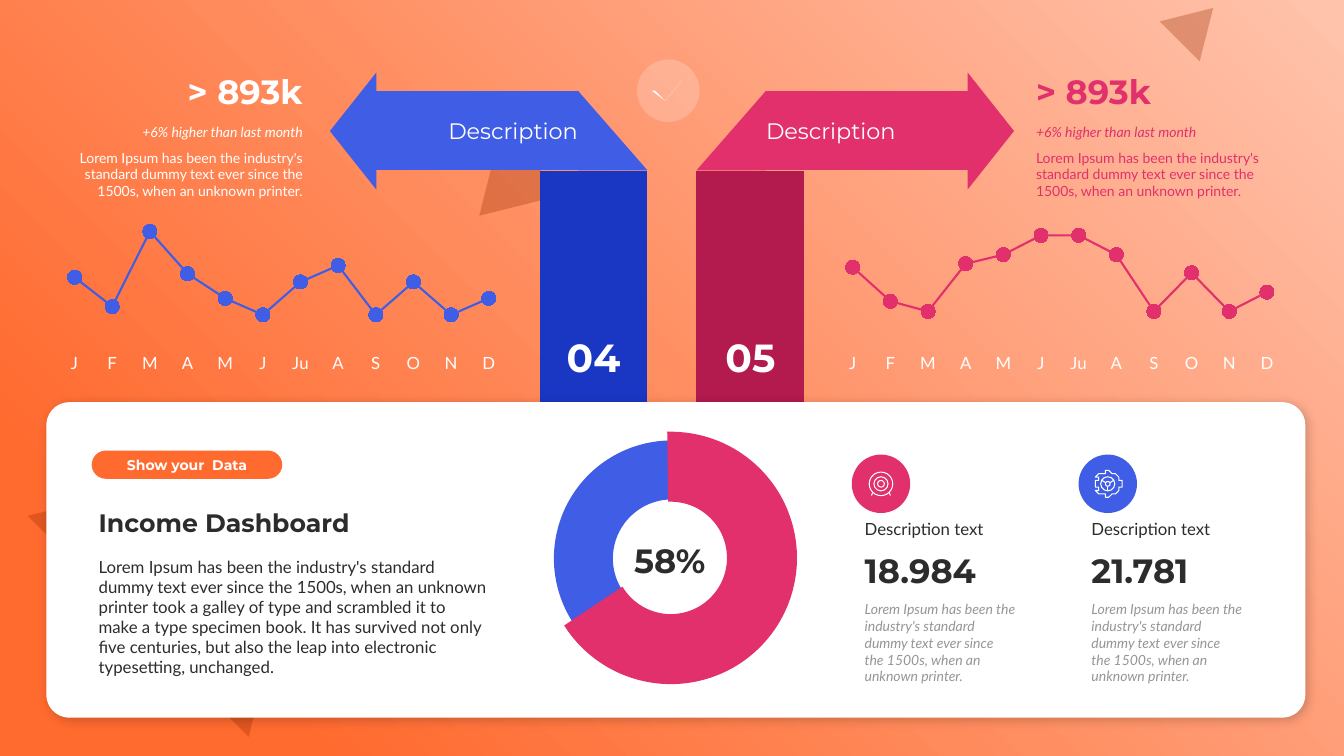
"""Builds the income dashboard slide on a grid of 400 by 225 square cells."""
import math

from pptx import Presentation, util as u
from pptx.chart.data import CategoryChartData
from pptx.dml.color import RGBColor
from pptx.enum import chart as c, shapes, text
from pptx.oxml import parse_xml
from pptx.oxml.ns import nsdecls, qn

PINK, BLUE, ORANGE, WHITE, DARK, GREY = "E1306C", "405DE6", "FF6A2F", "FFFFFF", "2C2C2C", "969696"
KIND, ALIGN, ANCHOR = shapes.MSO_SHAPE, text.PP_ALIGN, text.MSO_ANCHOR
COLUMNS, ROWS = 400, 225
LOREM = ("Lorem Ipsum has been the industry's standard dummy text ever since the 1500s, "
         "when an unknown printer")
color_of = RGBColor.from_string

presentation = Presentation()
presentation.slide_width, presentation.slide_height = u.Inches(40 / 3), u.Inches(7.5)
cell = presentation.slide_width / COLUMNS
slide = presentation.slides.add_slide(presentation.slide_layouts[6])
canvas = slide.shapes


def draw(parent, kind, box, color=None, alpha=None, rotation=0):
    """Adds a preset shape, or a text box when kind is None, at a box in cells."""
    place = [int(cell * value) for value in box]
    if kind is None:
        return parent.add_textbox(*place)
    shape = parent.add_shape(kind, *place)
    shape.shadow.inherit = False
    shape.line.fill.background()
    shape.rotation = rotation
    if color is None:
        shape.fill.background()
        return shape
    shape.fill.solid()
    shape.fill.fore_color.rgb = color_of(color)
    if alpha:
        tint = shape._element.spPr.find(qn("a:solidFill"))[0]
        tint.append(parse_xml(f'<a:alpha {nsdecls("a")} val="{alpha * 1000}"/>'))
    return shape


def write(shape, lines, size, font, color, bold=False, italic=False,
          align=ALIGN.LEFT, anchor=ANCHOR.TOP, after=0):
    """Fills a shape with paragraphs of one style and returns its text frame."""
    frame = shape.text_frame
    frame.word_wrap = True
    frame.vertical_anchor = anchor
    frame.text = "\n".join(lines)
    for paragraph in frame.paragraphs:
        paragraph.alignment = align
        paragraph.space_after = u.Pt(after)
        paragraph.font.name, paragraph.font.size = font, u.Pt(size)
        paragraph.font.bold, paragraph.font.italic = bold, italic
        paragraph.font.color.rgb = color_of(color)
    return frame


backdrop = draw(canvas, KIND.RECTANGLE, (0, 0, COLUMNS, ROWS), ORANGE)
backdrop.fill.gradient()
for stop, color, position in zip(backdrop.fill.gradient_stops, ("FFC3AC", ORANGE), (0, 0.85)):
    stop.color.rgb, stop.position = color_of(color), position
gradient = backdrop._element.spPr.find(qn("a:gradFill"))
gradient.replace(gradient.find(qn("a:lin")), parse_xml(
    f'<a:path {nsdecls("a")} path="circle"><a:fillToRect l="100000" b="100000"/></a:path>'))

for *box, rotation in ((21.9, 120.6, 93, 77.1, 45), (120.6, 117.9, 50.7, 42, 45),
                       (137.1, 45, 27, 22.5, 225), (347.7, 0.3, 16.8, 14.1, 45)):
    draw(canvas, KIND.ISOSCELES_TRIANGLE, box, "972B00", 30, rotation)

ARROW = {"banner": (228, 27, 60, 23.7), "slope": (207.3, 27, 20.7, 23.7),
         "column": (207.3, 51, 32.1, 68.7), "head": (277.5, 32.1, 34.8, 13.8)}
MONTHS = ("J", "F", "M", "A", "M", "J", "Ju", "A", "S", "O", "N", "D")
RIGHT_VALUES = (72, 42, 33, 75, 83, 100, 100, 83, 33, 67, 33, 50)
LEFT_VALUES = (61, 36, 100, 64, 43, 29, 57, 71, 29, 57, 29, 43)
SIDES = ((False, "05", PINK, "B31A4E", PINK, ALIGN.LEFT, 305.4, 245.4, RIGHT_VALUES, 120),
         (True, "04", BLUE, "1A37C3", WHITE, ALIGN.RIGHT, 14.7, 13.8, LEFT_VALUES, 116))
charts = []
for mirrored, number, color, shade, ink, align, text_left, chart_left, values, top_value in SIDES:
    boxes = {part: (COLUMNS - x - w if mirrored else x, y, w, h)
             for part, (x, y, w, h) in ARROW.items()}
    arrow = canvas.add_group_shape().shapes
    banner = draw(arrow, KIND.FLOWCHART_PROCESS, boxes["banner"], color)
    frame = write(banner, ["Description"], 16, "Montserrat", WHITE, align=align, anchor=ANCHOR.MIDDLE)
    frame.margin_left = frame.margin_right = 0
    slope = draw(arrow, KIND.RIGHT_TRIANGLE, boxes["slope"], color)
    if not mirrored:
        slope._element.spPr.find(qn("a:xfrm")).set("flipH", "1")
    column = draw(arrow, KIND.FLOWCHART_PROCESS, boxes["column"], shade)
    frame = write(column, [number], 28, "Montserrat", WHITE, bold=True,
                  align=ALIGN.CENTER, anchor=ANCHOR.BOTTOM)
    frame.margin_left = frame.margin_right = 0
    frame.margin_bottom = int(cell * 6.6)
    draw(arrow, KIND.ISOSCELES_TRIANGLE, boxes["head"], color, rotation=270 if mirrored else 90)

    write(draw(canvas, None, (text_left, 19.5, 78.3, 15)), ["> 893k"], 24, "Montserrat", ink,
          bold=True, align=align, anchor=ANCHOR.BOTTOM)
    frame = write(draw(canvas, None, (text_left, 35.4, 78.3, 25.8)),
                  ["+6% higher than last month", LOREM + "."], 10, "Lato", ink,
                  italic=True, align=align, after=6)
    frame.paragraphs[1].font.italic = False

    data = CategoryChartData()
    data.categories = MONTHS
    data.add_series("Series 1", values)
    place = [int(cell * value) for value in (chart_left, 63.3, 140.1, 48.9)]
    chart = canvas.add_chart(c.XL_CHART_TYPE.LINE_MARKERS, *place, data).chart
    charts.append((chart, 12, WHITE, (0.02, 0, 0.96, 0.83)))
    months, amounts = chart.category_axis, chart.value_axis
    months.format.line.fill.background()
    months.major_tick_mark = c.XL_TICK_MARK.NONE
    months.has_major_gridlines = amounts.has_major_gridlines = amounts.visible = False
    amounts.minimum_scale, amounts.maximum_scale = 0, top_value
    series = chart.plots[0].series[0]
    series.smooth = False
    series.format.line.color.rgb = color_of(color)
    series.format.line.width = u.Pt(1.5)
    series.marker.style, series.marker.size = c.XL_MARKER_STYLE.CIRCLE, 10
    series.marker.format.fill.solid()
    series.marker.format.fill.fore_color.rgb = color_of(color)
    series.marker.format.line.color.rgb = color_of(color)

draw(canvas, KIND.OVAL, (189.6, 17.7, 18.6, 18.6), WHITE, 20)
builder = canvas.build_freeform(203.4, 24.3, scale=cell)
builder.add_line_segments(((203, 24), (197.7, 29.6), (194.7, 26.6), (194.4, 27), (197.6, 30.1), (198, 30)))
check = builder.convert_to_shape()
check.shadow.inherit = False
check.fill.solid()
check.fill.fore_color.rgb = color_of(WHITE)
check.line.fill.background()

card = draw(canvas, KIND.ROUNDED_RECTANGLE, (13.8, 119.7, 374.7, 93.9), WHITE)
card.adjustments[0] = 0.073
card._element.spPr.find(qn("a:effectLst")).append(parse_xml(
    f'<a:outerShdw {nsdecls("a")} blurRad="{u.Pt(8)}" dist="{u.Pt(3)}" dir="2700000" algn="tl" '
    'rotWithShape="0"><a:srgbClr val="000000"><a:alpha val="20000"/></a:srgbClr></a:outerShdw>'))
write(draw(canvas, None, (26.4, 164.1, 121.5, 39.3)),
      [LOREM + " took a galley of type and scrambled it to make a type specimen book. It has survived "
       "not only five centuries, but also the leap into electronic typesetting, unchanged."],
      12, "Lato", DARK, after=6)
write(draw(canvas, None, (26.4, 149.4, 121.5, 12)), ["Income Dashboard"], 18, "Montserrat", DARK,
      bold=True, anchor=ANCHOR.BOTTOM)
pill = draw(canvas, KIND.ROUNDED_RECTANGLE, (27.3, 134.1, 56.7, 8.4), ORANGE)
pill.adjustments[0] = 0.5
write(pill, ["Show your  Data"], 10, "Montserrat", WHITE, bold=True,
      align=ALIGN.CENTER, anchor=ANCHOR.MIDDLE)

data = CategoryChartData()
data.categories = ("1", "2")
data.add_series("Series 1", (66, 34))
place = [int(cell * value) for value in (151.2, 127.2, 97.5, 78)]
ring = canvas.add_chart(c.XL_CHART_TYPE.DOUGHNUT, *place, data).chart
charts.append((ring, 10, DARK, (0.14, 0.05, 0.72, 0.9)))
for index, color in enumerate((ORANGE, BLUE)):
    point = ring.plots[0].series[0].points[index]
    point.format.fill.solid()
    point.format.fill.fore_color.rgb = color_of(color)
    point.format.line.fill.background()
for chart, size, color, layout in charts:
    chart.has_legend = chart.has_title = False
    chart.plots[0].vary_by_categories = chart is ring
    chart.font.name, chart.font.size = "Lato", u.Pt(size)
    chart.font.color.rgb = color_of(color)
    plot_area = chart._chartSpace.chart.plotArea
    for automatic in plot_area.findall(qn("c:layout")):
        plot_area.remove(automatic)
    sizes = "".join(f'<c:{key} val="{share}"/>' for key, share in zip("xywh", layout))
    plot_area.insert(0, parse_xml(
        f'<c:layout {nsdecls("c")}><c:manualLayout><c:layoutTarget val="inner"/>'
        f'<c:xMode val="edge"/><c:yMode val="edge"/>{sizes}</c:manualLayout></c:layout>'))

arc = draw(canvas, KIND.ARC, (172.5, 138.9, 54.3, 54.3))
arc.adjustments[0], arc.adjustments[1] = 160.84, 88.88
arc.line.color.rgb, arc.line.width = color_of(PINK), u.Pt(50)
write(draw(canvas, None, (182.4, 159.3, 33.9, 15)), ["58%"], 24, "Montserrat", DARK, bold=True,
      align=ALIGN.CENTER, anchor=ANCHOR.MIDDLE)

TARGET_FEET = [(side * 2.5, 2.6, side * 2.8, 3.5) for side in (-1, 1)]
WHEEL_SPOKES = [tuple(radius * wave(math.radians(angle)) for radius in (0.7, 2.1)
                      for wave in (math.cos, math.sin)) for angle in (90, 210, 330)]
GEAR = [(radius * math.cos(math.radians(45 * tooth + turn)), radius * math.sin(math.radians(45 * tooth + turn)))
        for tooth in range(8) for turn, radius in ((-15, 3.3), (-10, 4), (10, 4), (15, 3.3))]
FIGURES = (("18.984", PINK, (3.5, 2.1, 1), TARGET_FEET, []),
           ("21.781", BLUE, (2.1, 0.7), WHEEL_SPOKES, GEAR))
for index, (figure, color, radii, strokes, outline) in enumerate(FIGURES):
    left = 254.4 + 67.5 * index
    middle_x, middle_y = left + 7.8, 144
    for lines, top, height, size, font, ink, bold, italic, anchor in (
            ([figure], 162, 15, 24, "Montserrat", DARK, True, False, ANCHOR.BOTTOM),
            (["Description text"], 153, 9, 12, "Lato", DARK, False, False, ANCHOR.BOTTOM),
            ([LOREM + "."], 177.3, 28.2, 10, "Lato", GREY, False, True, ANCHOR.TOP)):
        write(draw(canvas, None, (left, top, 50.7, height)), lines, size, font, ink,
              bold=bold, italic=italic, anchor=anchor)
    draw(canvas, KIND.OVAL, (left - 0.9, 135.3, 17.4, 17.4), color)
    icon = [draw(canvas, KIND.OVAL, (middle_x - r, middle_y - r, 2 * r, 2 * r)) for r in radii]
    for x1, y1, x2, y2 in strokes:
        ends = [int(cell * value) for value in (middle_x + x1, middle_y + y1, middle_x + x2, middle_y + y2)]
        stroke = canvas.add_connector(shapes.MSO_CONNECTOR.STRAIGHT, *ends)
        stroke._element.spPr.append(parse_xml(f'<a:effectLst {nsdecls("a")}/>'))
        icon.append(stroke)
    if outline:
        corners = [(middle_x + x, middle_y + y) for x, y in outline]
        builder = canvas.build_freeform(*corners[0], scale=cell)
        builder.add_line_segments(corners[1:])
        gear = builder.convert_to_shape()
        gear.shadow.inherit = False
        gear.fill.background()
        icon.append(gear)
    for part in icon:
        part.line.color.rgb, part.line.width = color_of(WHITE), u.Pt(0.75)

presentation.save("out.pptx")
